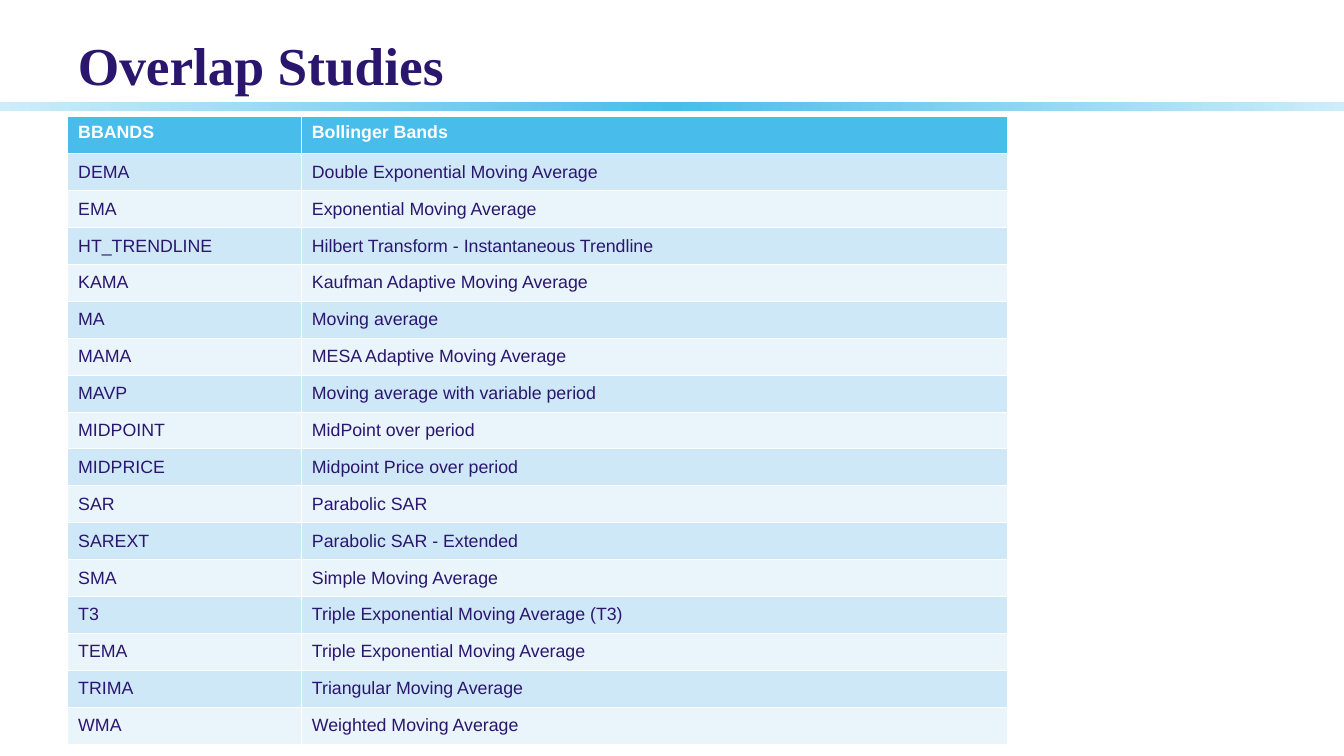
from copy import deepcopy
from pptx import Presentation as Deck
from pptx.dml.color import RGBColor as RGB
from pptx.enum.shapes import MSO_SHAPE as Shape
from pptx.enum.text import MSO_ANCHOR as Anchor, MSO_AUTO_SIZE as Fit, PP_ALIGN as Align
from pptx.oxml import parse_xml as parse
from pptx.oxml.ns import nsdecls
from pptx.util import Pt

INK = RGB(0x2B, 0x16, 0x6E)
WHITE = RGB(0xFF, 0xFF, 0xFF)
SKY = RGB(0x48, 0xBD, 0xEC)
PALE = RGB(0xCD, 0xED, 0xFA)
BAND = RGB(0xCF, 0xE8, 0xF8)
MIST = RGB(0xE9, 0xF4, 0xFB)

WIDE, HIGH = 907.2, 510.48
THIN, THICK = 0.45, 1.47

ROWS = [
    ("BBANDS", "Bollinger Bands"),
    ("DEMA", "Double Exponential Moving Average"),
    ("EMA", "Exponential Moving Average"),
    ("HT_TRENDLINE", "Hilbert Transform - Instantaneous Trendline"),
    ("KAMA", "Kaufman Adaptive Moving Average"),
    ("MA", "Moving average"),
    ("MAMA", "MESA Adaptive Moving Average"),
    ("MAVP", "Moving average with variable period"),
    ("MIDPOINT", "MidPoint over period"),
    ("MIDPRICE", "Midpoint Price over period"),
    ("SAR", "Parabolic SAR"),
    ("SAREXT", "Parabolic SAR - Extended"),
    ("SMA", "Simple Moving Average"),
    ("T3", "Triple Exponential Moving Average (T3)"),
    ("TEMA", "Triple Exponential Moving Average"),
    ("TRIMA", "Triangular Moving Average"),
    ("WMA", "Weighted Moving Average"),
]


def write(para, text, face, size, color, bold):
    run = para.add_run()
    run.text = text
    font = run.font
    font.name, font.size, font.bold = face, Pt(size), bold
    font.color.rgb = color


def add_title(slide, text, x, y, w, h):
    title = slide.shapes.title
    title.left, title.top, title.width, title.height = Pt(x), Pt(y), Pt(w), Pt(h)
    frame = title.text_frame
    frame.auto_size = Fit.NONE
    frame.vertical_anchor = Anchor.MIDDLE
    para = frame.paragraphs[0]
    para.alignment = Align.LEFT
    write(para, text, "Times New Roman", 36, INK, True)


def add_rule(slide, x, y, w, h):
    rule = slide.shapes.add_shape(Shape.RECTANGLE, Pt(x), Pt(y), Pt(w), Pt(h))
    rule.shadow.inherit = False
    rule.line.fill.background()
    fill = rule.fill
    fill.gradient()
    fill.gradient_angle = 0
    stops = rule._element.xpath(".//a:gsLst")[0]
    stops.append(deepcopy(stops[0]))
    for stop, color, place in zip(fill.gradient_stops, (PALE, SKY, PALE), (0, 0.5, 1)):
        stop.color.rgb = color
        stop.position = place


def add_edges(cell, top, base):
    props = cell._tc.get_or_add_tcPr()
    edges = (("L", THIN), ("R", THIN), ("T", top), ("B", base))
    for spot, (side, size) in enumerate(edges):
        props.insert(spot, parse(
            f'<a:ln{side} {nsdecls("a")} w="{Pt(size)}"><a:solidFill>'
            f'<a:srgbClr val="{WHITE}"/></a:solidFill></a:ln{side}>'))


def add_grid(slide, rows, x, y, w, h):
    frame = slide.shapes.add_table(len(rows), 2, Pt(x), Pt(y), Pt(w), Pt(h))
    table = frame.table
    first = round(w * 0.2487, 2)
    for col, size in zip(table.columns, (first, w - first)):
        col.width = Pt(size)
    for i, words in enumerate(rows):
        table.rows[i].height = Pt(h / len(rows))
        head = i == 0
        for j, text in enumerate(words):
            cell = table.cell(i, j)
            cell.fill.solid()
            cell.fill.fore_color.rgb = SKY if head else BAND if i % 2 else MIST
            cell.vertical_anchor = Anchor.TOP if head else Anchor.MIDDLE
            cell.margin_left = cell.margin_right = Pt(7.2)
            cell.margin_top = cell.margin_bottom = Pt(3.6)
            add_edges(cell, THICK if i == 1 else THIN, THICK if head else THIN)
            para = cell.text_frame.paragraphs[0]
            write(para, text, "Arial", 12, WHITE if head else INK, head)


def main():
    deck = Deck()
    deck.slide_width, deck.slide_height = Pt(WIDE), Pt(HIGH)
    slide = deck.slides.add_slide(deck.slide_layouts[5])
    add_rule(slide, 0, 69, WIDE, 6)
    add_title(slide, "Overlap Studies", 45.36, 22.32, 816.48, 41.76)
    add_grid(slide, ROWS, 45.6, 78.75, 634.3, 424)
    deck.save("out.pptx")


if __name__ == "__main__":
    main()
